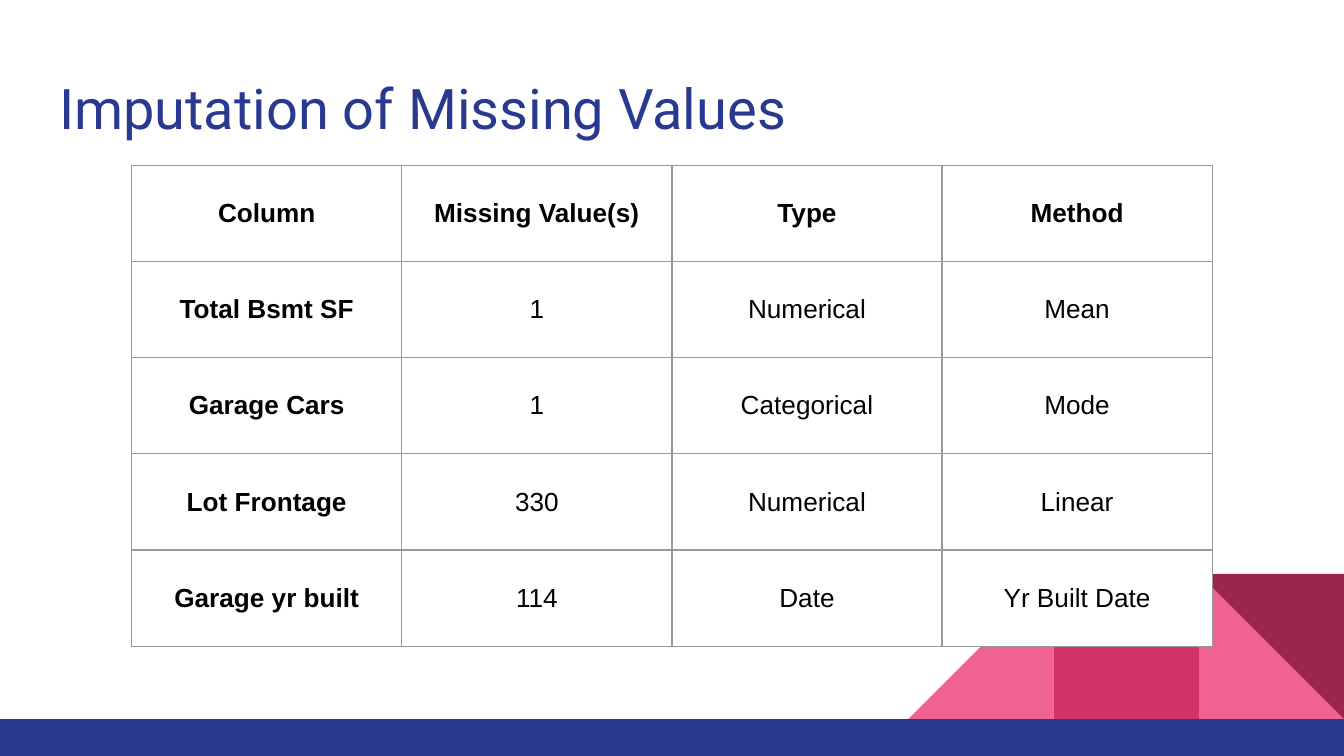
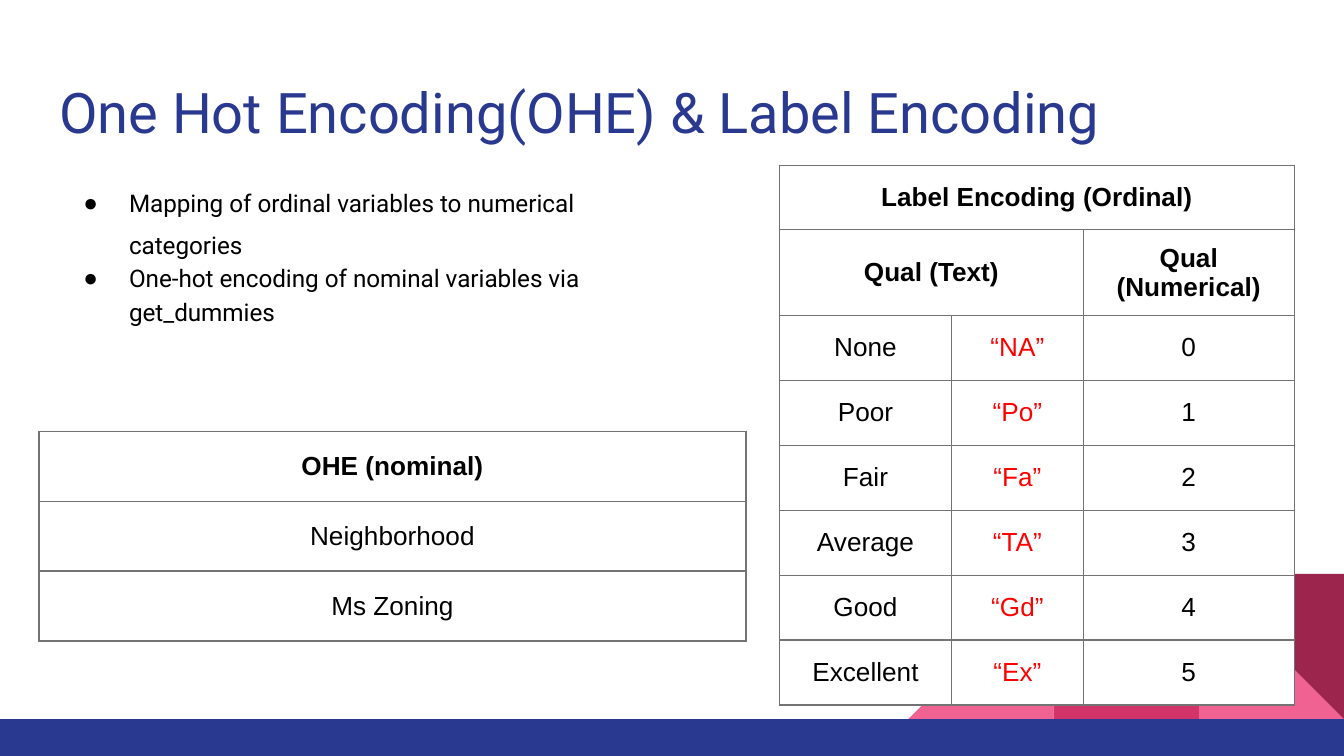
from lxml.etree import SubElement
from pptx import Presentation
from pptx.dml.color import RGBColor
from pptx.enum.shapes import MSO_SHAPE
from pptx.enum.text import MSO_ANCHOR, MSO_AUTO_SIZE, PP_ALIGN
from pptx.oxml import parse_xml
from pptx.oxml.ns import nsdecls, qn
from pptx.util import Inches, Pt

BLUE = RGBColor(0x2A, 0x39, 0x90)
PINK = RGBColor(0xF0, 0x62, 0x92)
ROSE = RGBColor(0xD2, 0x33, 0x69)
WINE = RGBColor(0x9C, 0x25, 0x4D)
BLACK = RGBColor(0, 0, 0)
WHITE = RGBColor(0xFF, 0xFF, 0xFF)
RED = RGBColor(0xFF, 0, 0)
LIGHT_GREY = RGBColor(0x99, 0x99, 0x99)
DARK_GREY = RGBColor(0x73, 0x73, 0x73)

WIDTH = 10
HEIGHT = WIDTH * 9 / 16
TILE = 1.08
BAND_TOP = 5.35

# In every table, None continues the cell to its left.
IMPUTATION = [
    ("Column", "Missing Value(s)", "Type", "Method"),
    ("Total Bsmt SF", "1", "Numerical", "Mean"),
    ("Garage Cars", "1", "Categorical", "Mode"),
    ("Lot Frontage", "330", "Numerical", "Linear"),
    ("Garage yr built", "114", "Date", "Yr Built Date"),
]
QUALITIES = [("None", "NA"), ("Poor", "Po"), ("Fair", "Fa"),
             ("Average", "TA"), ("Good", "Gd"), ("Excellent", "Ex")]
LABEL_ENCODING = [
    ("Label Encoding (Ordinal)", None, None),
    ("Qual (Text)", None, "Qual (Numerical)"),
] + [(name, f"“{code}”", str(i)) for i, (name, code) in enumerate(QUALITIES)]
OHE = [("OHE (nominal)", None), ("Neighborhood", None), ("Ms Zoning", None)]

# Text, line spacing, space before
BULLETS = [
    ("Mapping of ordinal variables to numerical categories", 1.43, 22),
    ("One-hot encoding of nominal variables via get_dummies", 1.15, 0),
]


def set_font(font, name, size, color, bold=False):
    font.name, font.size, font.bold = name, Pt(size), bold
    font.color.rgb = color


def set_frame(tf, anchor=MSO_ANCHOR.TOP):
    tf.auto_size = MSO_AUTO_SIZE.NONE
    tf.word_wrap = True
    tf.vertical_anchor = anchor
    tf.margin_left = tf.margin_right = tf.margin_top = tf.margin_bottom = Inches(0.1)


def place(sp, left, top, width, height):
    sp.left, sp.top, sp.width, sp.height = map(Inches, (left, top, width, height))


def add_decor(slide):
    """Draw the corner tiles and the bottom band."""
    right, top = WIDTH - TILE, BAND_TOP - TILE
    triangle, rect = MSO_SHAPE.RIGHT_TRIANGLE, MSO_SHAPE.RECTANGLE
    parts = [
        (triangle, right, top, TILE, TILE, PINK),
        (triangle, right - 2 * TILE, top, TILE, TILE, PINK),
        (rect, right - TILE, top, TILE, TILE, ROSE),
        (triangle, right, top, TILE, TILE, WINE),
        (rect, 0, BAND_TOP, WIDTH, HEIGHT - BAND_TOP, BLUE),
    ]
    shapes = []
    for kind, left, y, width, height, color in parts:
        sp = slide.shapes.add_shape(kind, *map(Inches, (left, y, width, height)))
        sp.fill.solid()
        sp.fill.fore_color.rgb = color
        sp.line.fill.background()
        sp.shadow.inherit = False
        shapes.append(sp)
    shapes[1]._element.spPr.find(qn("a:xfrm")).set("flipH", "1")
    shapes[3].rotation = 180


def add_slide(prs, layout, title, title_top):
    slide = prs.slides.add_slide(prs.slide_layouts[layout])
    sp = slide.shapes.title
    place(sp, 0.34, title_top, 9.32, 0.66)
    set_frame(sp.text_frame)
    p = sp.text_frame.paragraphs[0]
    p.text = title
    p.alignment = PP_ALIGN.LEFT
    set_font(p.font, "Roboto", 30, BLUE)
    add_decor(slide)
    return slide


def set_borders(cell, color):
    tc_pr = cell._tc.get_or_add_tcPr()
    for i, side in enumerate("LRTB"):
        tc_pr.insert(i, parse_xml(
            f'<a:ln{side} {nsdecls("a")} w="{Pt(0.75)}"><a:solidFill>'
            f'<a:srgbClr val="{color}"/></a:solidFill></a:ln{side}>'))


def add_table(slide, rows, left, top, widths, heights, border,
              header_rows=1, bold_column=None, red_column=None):
    frame = slide.shapes.add_table(
        len(rows), len(widths),
        *map(Inches, (left, top, sum(widths), sum(heights))))
    table = frame.table
    table.first_row = table.horz_banding = False
    for column, width in zip(table.columns, widths):
        column.width = Inches(width)
    for r, (row, height) in enumerate(zip(rows, heights)):
        table.rows[r].height = Inches(height)
        for c, text in enumerate(row):
            cell = table.cell(r, c)
            header = r < header_rows
            cell.fill.solid()
            cell.fill.fore_color.rgb = WHITE
            set_borders(cell, border)
            cell.vertical_anchor = MSO_ANCHOR.MIDDLE
            cell.margin_left = cell.margin_right = Inches(0.1)
            cell.margin_top = cell.margin_bottom = Inches(0.1)
            p = cell.text_frame.paragraphs[0]
            p.text = text or ""
            p.alignment = PP_ALIGN.CENTER
            color = RED if c == red_column and not header else BLACK
            set_font(p.font, "Arial", 14, color, header or c == bold_column)
        starts = [c for c, text in enumerate(row) if text is not None]
        for start, end in zip(starts, starts[1:] + [len(row)]):
            if end - start > 1:
                table.cell(r, start).merge(table.cell(r, end - 1))


def add_bullets(sp, items):
    tf = sp.text_frame
    set_frame(tf)
    for i, (text, spacing, before) in enumerate(items):
        p = tf.add_paragraph() if i else tf.paragraphs[0]
        p.text = text
        p.alignment = PP_ALIGN.LEFT
        p.line_spacing, p.space_before = spacing, Pt(before)
        p_pr = p._p.get_or_add_pPr()
        p_pr.set("marL", str(Inches(0.5)))
        p_pr.set("indent", str(Inches(-0.34)))
        color = SubElement(p_pr, qn("a:buClr"))
        SubElement(color, qn("a:srgbClr"), val=str(BLACK))
        SubElement(p_pr, qn("a:buChar"), char="●")
        set_font(p.font, "Roboto", 13, BLACK)


def main():
    prs = Presentation()
    prs.slide_width, prs.slide_height = Inches(WIDTH), Inches(HEIGHT)

    slide = add_slide(prs, 5, "Imputation of Missing Values", 0.45)
    add_table(slide, IMPUTATION, 0.98, 1.23, [2.01] * 4, [3.58 / 5] * 5,
              LIGHT_GREY, bold_column=0)

    slide = add_slide(prs, 1, "One Hot Encoding(OHE) & Label Encoding", 0.48)
    body = slide.placeholders[1]
    place(body, 0.36, 1.21, 4.35, 1.85)
    add_bullets(body, BULLETS)
    add_table(slide, LABEL_ENCODING, 5.8, 1.23, [1.28, 0.98, 1.57],
              [0.48, 0.61] + [2.9 / 6] * 6, DARK_GREY, header_rows=2, red_column=1)
    add_table(slide, OHE, 0.29, 3.21, [2.63] * 2, [0.52] * 3, DARK_GREY)

    prs.save("out.pptx")


if __name__ == "__main__":
    main()
